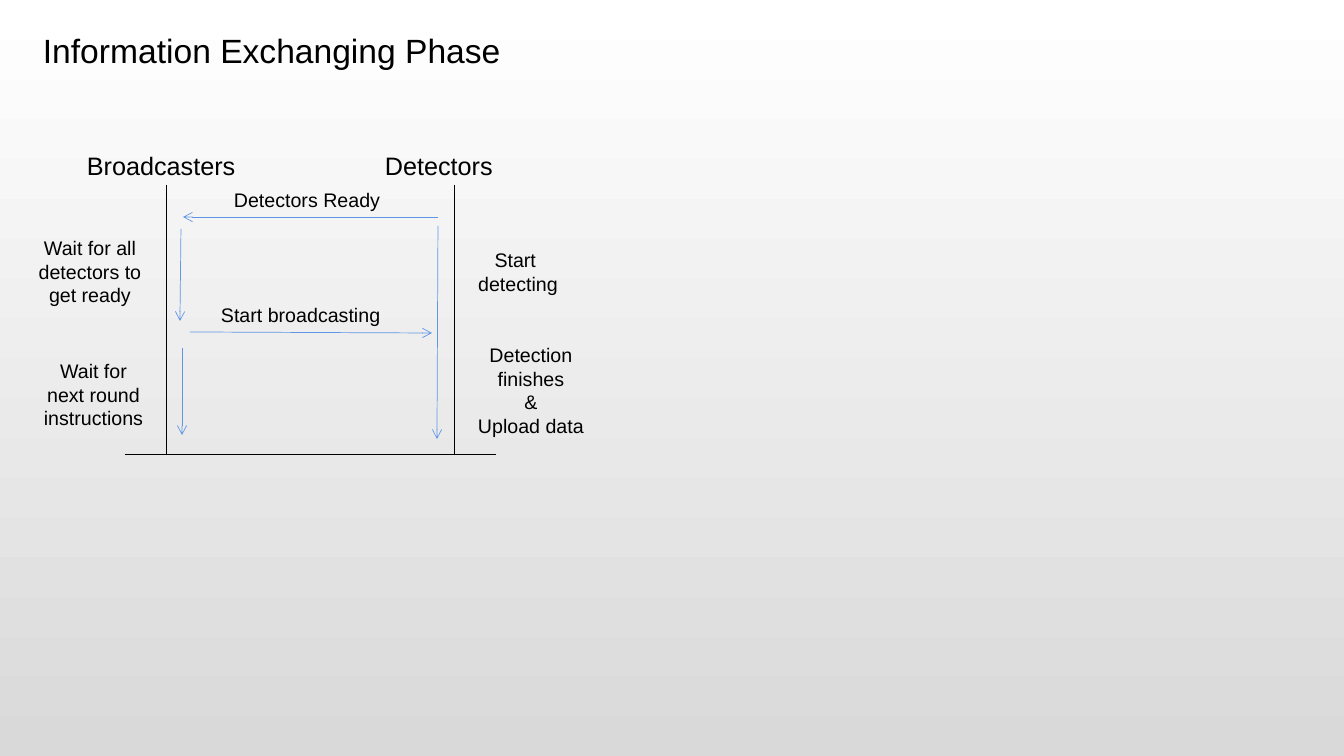
import pptx
import pptx.util
import pptx.dml.color
import pptx.enum.shapes
import pptx.enum.text
import pptx.oxml
import pptx.oxml.ns
from dataclasses import dataclass


@dataclass(frozen=True)
class Theme:
    font: str = "Arial"
    ink: str = "000000"
    arrow: str = "6096E6"
    top: str = "FFFFFF"
    base: str = "D9D9D9"
    title: int = 24
    role: int = 18
    note: int = 14
    line: float = 0.5


theme = Theme()
PX = 9071.43
SIZE = (1344, 756)

TITLE = ("Information Exchanging Phase", (33, 25, 523, 50))
ROLES = [("Broadcasters", 77, 166), ("Detectors", 375, 454)]
ROLE_TOP, ROLE_WIDE, ROLE_HIGH = 145, 178, 40
FLOOR = (125, 496, 454)
CALLS = [
    ("Detectors Ready", (224, 183, 172, 34)),
    ("Start broadcasting", (211, 298, 198, 34)),
]
STEPS = [
    (["Start ", "detecting"], (461, 243, 114, 57)),
    (["Wait for all detectors to get ready"], (21, 231, 138, 82)),
    (["Wait for next round instructions"], (33, 354, 121, 82)),
    (["Detection finishes", "&", "Upload data"], (466, 338, 130, 105)),
]
ARROWS = [
    (438, 217, 183, 217),
    (190, 332, 432, 333),
    (182, 348, 182, 435),
    (181, 229, 180, 321),
    (438, 226, 437, 439),
]


def emu(px):
    return pptx.util.Emu(round(px * PX))


def tint(code):
    return pptx.dml.color.RGBColor.from_string(code)


def add_text(slide, lines, box, size, center=False):
    frame = slide.shapes.add_textbox(*map(emu, box)).text_frame
    frame.word_wrap = True
    frame.auto_size = pptx.enum.text.MSO_AUTO_SIZE.SHAPE_TO_FIT_TEXT
    align = pptx.enum.text.PP_ALIGN
    for i, line in enumerate(lines):
        para = frame.add_paragraph() if i else frame.paragraphs[0]
        para.alignment = align.CENTER if center else align.LEFT
        run = para.add_run()
        run.text = line
        run.font.name = theme.font
        run.font.size = pptx.util.Pt(size)
        run.font.color.rgb = tint(theme.ink)


def add_line(slide, ends, color, head=False):
    kind = pptx.enum.shapes.MSO_CONNECTOR.STRAIGHT
    link = slide.shapes.add_connector(kind, *map(emu, ends))
    link.line.color.rgb = tint(color)
    link.line.width = pptx.util.Pt(theme.line)
    if head:
        tail = pptx.oxml.parse_xml(
            f'<a:tailEnd {pptx.oxml.ns.nsdecls("a")} type="arrow"/>')
        link.line._get_or_add_ln().append(tail)
    props = link._element.spPr
    props.append(pptx.oxml.parse_xml(
        f'<a:effectLst {pptx.oxml.ns.nsdecls("a")}/>'))


def main():
    deck = pptx.Presentation()
    deck.slide_width, deck.slide_height = map(emu, SIZE)
    slide = deck.slides.add_slide(deck.slide_layouts[6])

    fill = slide.background.fill
    fill.gradient()
    fill.gradient_angle = 270
    for stop, place, code in zip(fill.gradient_stops, (0, 1),
                                 (theme.top, theme.base)):
        stop.position = place
        stop.color.rgb = tint(code)

    text, box = TITLE
    add_text(slide, [text], box, theme.title)

    left, right, floor = FLOOR
    for name, x, axis in ROLES:
        box = (x, ROLE_TOP, ROLE_WIDE, ROLE_HIGH)
        add_text(slide, [name], box, theme.role)
        add_line(slide, (axis, ROLE_TOP + ROLE_HIGH, axis, floor), theme.ink)
    add_line(slide, (left, floor, right, floor), theme.ink)

    for ends in ARROWS:
        add_line(slide, ends, theme.arrow, head=True)
    for text, box in CALLS:
        add_text(slide, [text], box, theme.note)
    for lines, box in STEPS:
        add_text(slide, lines, box, theme.note, center=True)

    deck.save("out.pptx")


if __name__ == "__main__":
    main()
